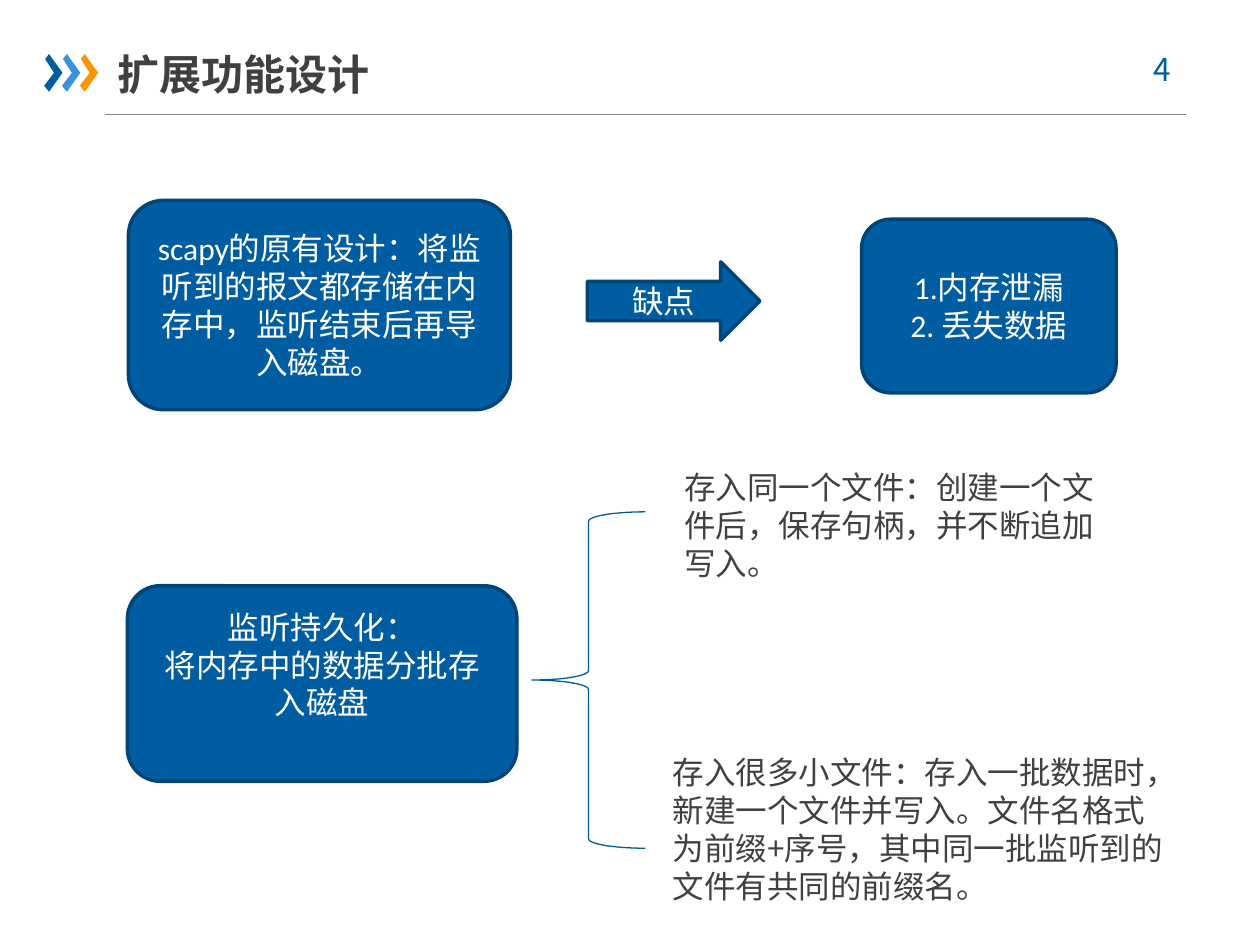
from lxml.etree import SubElement
from pptx import Presentation
from pptx.dml.color import RGBColor
from pptx.enum.shapes import MSO_CONNECTOR, MSO_SHAPE
from pptx.enum.text import MSO_ANCHOR, PP_ALIGN
from pptx.oxml.ns import qn
from pptx.util import Cm, Pt

BLUE = RGBColor(0x00, 0x5D, 0xA2)
DARK_BLUE = RGBColor(0x00, 0x45, 0x78)
BRACE_BLUE = RGBColor(0x00, 0x5B, 0x9E)
LIGHT_BLUE = RGBColor(0x39, 0x92, 0xDB)
ORANGE = RGBColor(0xF7, 0x96, 0x00)
GRAY = RGBColor(0x80, 0x80, 0x80)
DARK_GRAY = RGBColor(0x40, 0x40, 0x40)
WHITE = RGBColor(0xFF, 0xFF, 0xFF)
HAN_FONT = "Noto Sans CJK SC"
LATIN_FONT = "Calibri"


def write(frame, lines, color, font=HAN_FONT, size=18, bold=False,
          align=PP_ALIGN.LEFT, anchor=MSO_ANCHOR.TOP):
    frame.word_wrap = True
    frame.vertical_anchor = anchor
    for number, line in enumerate(lines):
        paragraph = frame.add_paragraph() if number else frame.paragraphs[0]
        paragraph.alignment = align
        paragraph.line_spacing = Pt(size * 1.2)
        run = paragraph.add_run()
        run.text = line
        run.font.name, run.font.size = font, Pt(size)
        run.font.bold, run.font.color.rgb = bold, color
        SubElement(run.font._element, qn("a:ea")).set("typeface", HAN_FONT)


def add_note(slide, left, top, width, height, text, color=DARK_GRAY, **style):
    box = slide.shapes.add_textbox(Cm(left), Cm(top), Cm(width), Cm(height))
    write(box.text_frame, [text], color, **style)


def add_block(slide, preset, left, top, width, height, lines):
    """Add a filled blue shape with centred white text."""
    block = slide.shapes.add_shape(preset, Cm(left), Cm(top), Cm(width), Cm(height))
    block.shadow.inherit = False
    block.fill.solid()
    block.fill.fore_color.rgb = BLUE
    block.line.color.rgb = DARK_BLUE
    block.line.width = Pt(2)
    write(block.text_frame, lines, WHITE, font=LATIN_FONT,
          align=PP_ALIGN.CENTER, anchor=MSO_ANCHOR.MIDDLE)
    return block


def add_chevron(slide, left, top, color):
    outline = [(0.02, 0.1), (0.1, 0), (0.37, 0.38), (0.1, 0.76), (0, 0.64), (0.2, 0.38)]
    points = [(Cm(left + x), Cm(top + y)) for x, y in outline]
    builder = slide.shapes.build_freeform(*points[0])
    builder.add_line_segments(points[1:], close=True)
    chevron = builder.convert_to_shape()
    chevron.shadow.inherit = False
    chevron.fill.solid()
    chevron.fill.fore_color.rgb = color
    chevron.line.fill.background()


def add_header(slide, left, top, width, heading, page):
    rule_y = Cm(top + 1.47)
    rule = slide.shapes.add_connector(
        MSO_CONNECTOR.STRAIGHT, Cm(left + 1.22), rule_y, Cm(left + width), rule_y)
    rule.line.color.rgb = GRAY
    rule.line.width = Pt(0.75)
    SubElement(rule._element.spPr, qn("a:effectLst"))

    for step, color in enumerate((BLUE, LIGHT_BLUE, ORANGE)):
        add_chevron(slide, left + 0.36 * step, top + 0.25, color)

    title = slide.shapes.title
    title.left, title.top = Cm(left + 1.22), Cm(top)
    title.width, title.height = Cm(9), Cm(1.28)
    write(title.text_frame, [heading], DARK_GRAY, size=24, bold=True,
          anchor=MSO_ANCHOR.MIDDLE)
    add_note(slide, left + width - 1.4, top + 0.05, 1.85, 1.02, page, BLUE,
             align=PP_ALIGN.CENTER)


def add_drawbacks(slide, left, top):
    add_block(slide, MSO_SHAPE.ROUNDED_RECTANGLE, left, top, 7.7, 4.22,
              ["scapy的原有设计：将监听到的报文都存储在内存中，监听结束后再导入磁盘。"])
    add_block(slide, MSO_SHAPE.RIGHT_ARROW, left + 9.25, top + 1.24, 3.48, 1.58, ["缺点"])
    add_block(slide, MSO_SHAPE.ROUNDED_RECTANGLE, left + 14.78, top + 0.38, 5.13, 3.5,
              ["1.内存泄漏", "2. 丢失数据"])


def add_persistence(slide, left, top):
    goal = add_block(slide, MSO_SHAPE.ROUNDED_RECTANGLE, left, top + 2.49, 7.85, 3.94,
                     ["监听持久化：", "将内存中的数据分批存入磁盘"])
    goal.text_frame.margin_bottom = Cm(0.89)

    brace = slide.shapes.add_shape(
        MSO_SHAPE.LEFT_BRACE, Cm(left + 8.15), Cm(top + 1), Cm(2.29), Cm(6.78))
    brace.shadow.inherit = False
    brace.fill.background()
    brace.line.color.rgb = BRACE_BLUE
    brace.line.width = Pt(0.75)

    add_note(slide, left + 10.97, top, 9.02, 2.57,
             "存入同一个文件：创建一个文件后，保存句柄，并不断追加写入。")
    add_note(slide, left + 10.74, top + 5.74, 10.54, 3.33,
             "存入很多小文件：存入一批数据时，新建一个文件并写入。文件名格式为前缀+序号，"
             "其中同一批监听到的文件有共同的前缀名。")


def main():
    deck = Presentation()
    deck.slide_width, deck.slide_height = Cm(25.4), Cm(19.05)
    slide = deck.slides.add_slide(deck.slide_layouts[5])
    add_header(slide, 0.89, 0.84, 23.01, "扩展功能设计", "4")
    add_drawbacks(slide, 2.59, 4.04)
    add_persistence(slide, 2.57, 9.32)
    deck.save("out.pptx")


if __name__ == "__main__":
    main()
